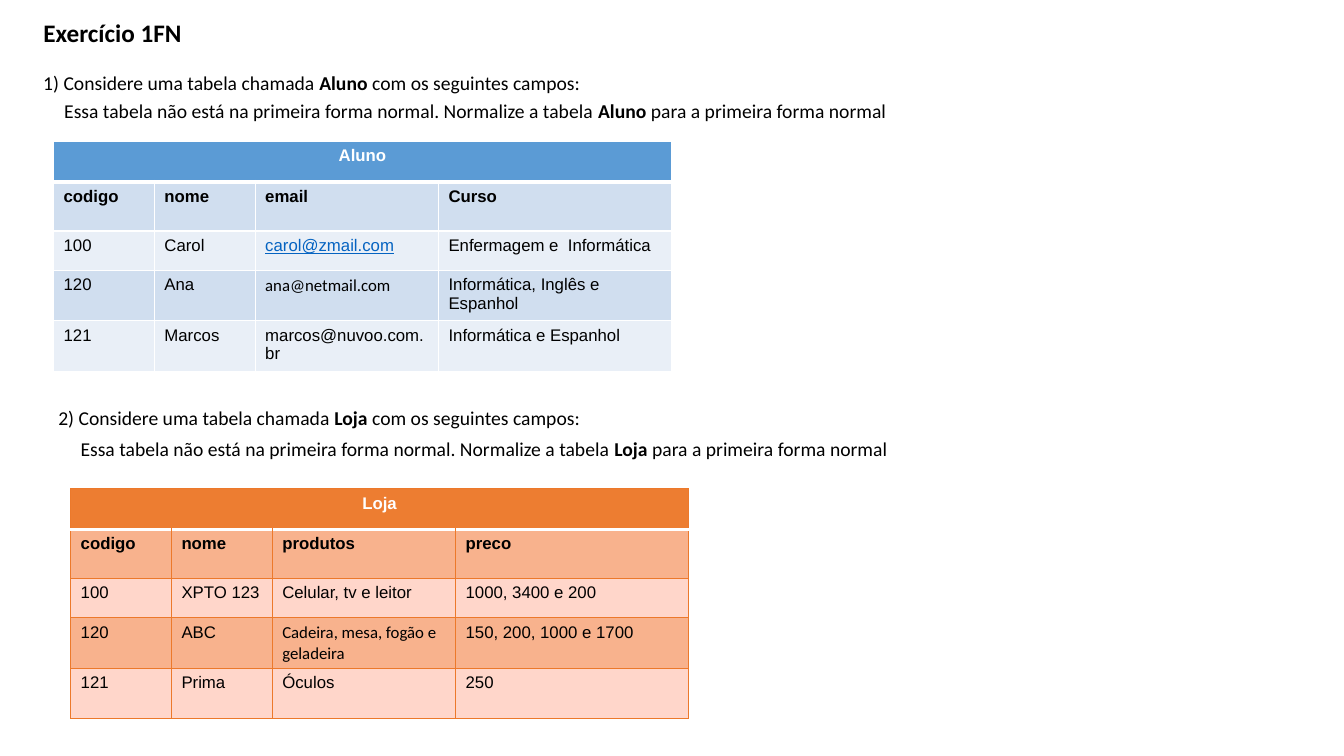
from lxml import etree
from pptx import Presentation
from pptx.dml import color
from pptx.enum import text
from pptx.oxml import ns
from pptx.util import Cm, Pt

COLUMN_WIDTHS = (2.54, 2.54, 4.62, 5.87)
ROW_HEIGHTS = (1.02, 1.24, 0.99, 0.99, 1.27)
CALIBRI_CELL = (3, 2)

STUDENTS = [
    ("codigo", "nome", "email", "Curso"),
    ("100", "Carol", "carol@zmail.com", "Enfermagem e  Informática"),
    ("120", "Ana", "ana@netmail.com", "Informática, Inglês e Espanhol"),
    ("121", "Marcos", "marcos@nuvoo.com.br", "Informática e Espanhol"),
]
SHOPS = [
    ("codigo", "nome", "produtos", "preco"),
    ("100", "XPTO 123", "Celular, tv e leitor", "1000, 3400 e 200"),
    ("120", "ABC", "Cadeira, mesa, fogão e geladeira", "150, 200, 1000 e 1700"),
    ("121", "Prima", "Óculos", "250"),
]


def rgb(value):
    return color.RGBColor.from_string(value)


def style_span(span, size, name="Calibri", bold=False, ink="000000"):
    span.font.size = Pt(size)
    span.font.name = name
    span.font.bold = bold
    span.font.color.rgb = rgb(ink)


def place(box, left, top, width, height):
    box.left, box.top, box.width, box.height = map(Cm, (left, top, width, height))


def add_title(page, wording):
    box = page.shapes.title
    place(box, 0.84, 0.23, 12.98, 1.27)
    frame = box.text_frame
    frame.text = wording
    frame.auto_size = text.MSO_AUTO_SIZE.NONE
    frame.vertical_anchor = text.MSO_ANCHOR.MIDDLE
    para = frame.paragraphs[0]
    para.alignment = text.PP_ALIGN.LEFT
    para.line_spacing = 0.9
    style_span(para.runs[0], 18, bold=True)


def add_statement(page, area, before, table_name, after):
    """One line of text with the table name in bold."""
    frame = page.shapes.add_textbox(*map(Cm, area)).text_frame
    frame.word_wrap = True
    frame.vertical_anchor = text.MSO_ANCHOR.MIDDLE
    para = frame.paragraphs[0]
    para.line_spacing = 0.9
    for wording in (before, table_name, after):
        span = para.add_run()
        span.text = wording
        style_span(span, 14, bold=wording == table_name)


def set_border(cell, side, ink, points):
    properties = cell._tc.get_or_add_tcPr()
    line = etree.SubElement(properties, ns.qn(f"a:ln{side}"), w=str(Pt(points)))
    fill = etree.SubElement(line, ns.qn("a:solidFill"))
    etree.SubElement(fill, ns.qn("a:srgbClr"), val=ink)


def add_data_table(page, left, top, name, records, fills, grid, rule_width):
    """Merged heading, bold field names, then banded records."""
    heading_fill, dark_fill, light_fill = fills
    rows = [(name, "", "", "")] + records
    table = page.shapes.add_table(
        len(rows), len(COLUMN_WIDTHS), Cm(left), Cm(top),
        Cm(sum(COLUMN_WIDTHS)), Cm(sum(ROW_HEIGHTS))).table
    table.first_row = table.horz_banding = False
    for column, width in zip(table.columns, COLUMN_WIDTHS):
        column.width = Cm(width)
    for row, height in zip(table.rows, ROW_HEIGHTS):
        row.height = Cm(height)
    table.cell(0, 0).merge(table.cell(0, len(COLUMN_WIDTHS) - 1))

    for r, record in enumerate(rows):
        for c, wording in enumerate(record):
            cell = table.cell(r, c)
            # Borders, with a white rule under the heading
            for side in "LRTB":
                under_heading = (r, side) in ((0, "B"), (1, "T"))
                border = ("FFFFFF", rule_width) if under_heading else grid
                set_border(cell, side, *border)
            cell.fill.solid()
            band = dark_fill if r % 2 else light_fill
            cell.fill.fore_color.rgb = rgb(band if r else heading_fill)
            # Text
            if wording:
                cell.text_frame.text = wording
                para = cell.text_frame.paragraphs[0]
                if r == 0:
                    para.alignment = text.PP_ALIGN.CENTER
                style_span(para.runs[0], 12,
                           "Calibri" if (r, c) == CALIBRI_CELL else "Arial",
                           bold=r < 2, ink="000000" if r else "FFFFFF")
    return table


def add_exercise(page, number, name, field_area, task_area):
    add_statement(page, field_area, f"{number}) Considere uma tabela chamada ",
                  name, " com os seguintes campos:")
    add_statement(page, task_area,
                  "Essa tabela não está na primeira forma normal. Normalize a tabela ",
                  name, " para a primeira forma normal")


def main():
    deck = Presentation()
    deck.slide_width, deck.slide_height = Cm(33.87), Cm(19.05)
    page = deck.slides.add_slide(deck.slide_layouts[5])
    add_title(page, "Exercício 1FN")

    # Exercise 1: students
    add_exercise(page, 1, "Aluno", (0.84, 1.3, 16.59, 1.65), (1.37, 2.34, 22.3, 0.97))
    students = add_data_table(page, 1.35, 3.56, "Aluno", STUDENTS,
                              ("5B9BD5", "D0DEEF", "E9EFF7"), ("FFFFFF", 1), 3)
    email = students.cell(2, 2).text_frame.paragraphs[0].runs[0]
    email.font.underline = True
    email.font.color.rgb = rgb("0563C1")

    # Exercise 2: shops
    add_exercise(page, 2, "Loja", (1.22, 9.73, 16.59, 1.65), (1.78, 10.87, 22.3, 0.97))
    add_data_table(page, 1.78, 12.32, "Loja", SHOPS,
                   ("ED7D31", "F8B28D", "FFD6CA"), ("EC792B", 0.75), 2)

    deck.save("out.pptx")


if __name__ == "__main__":
    main()
